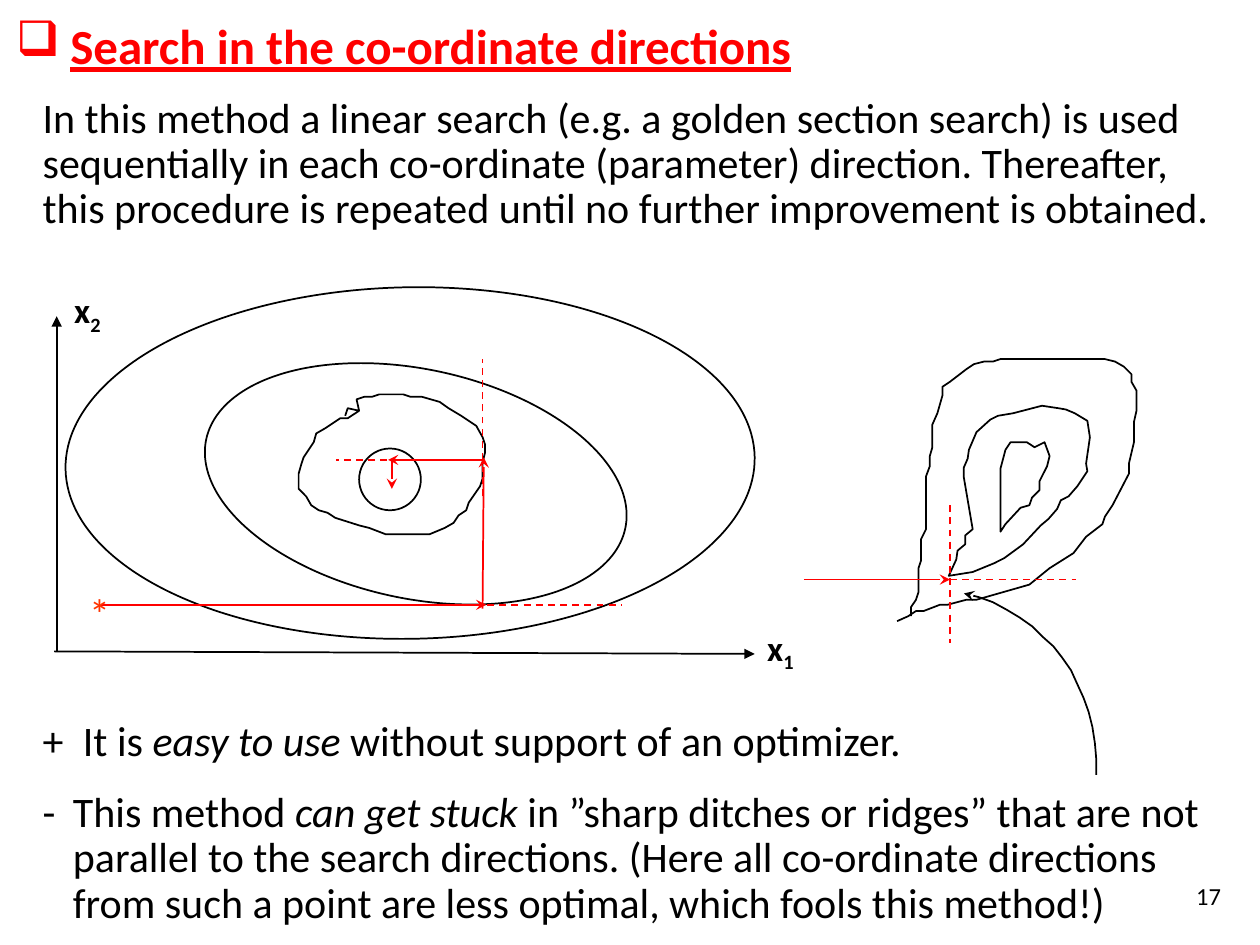
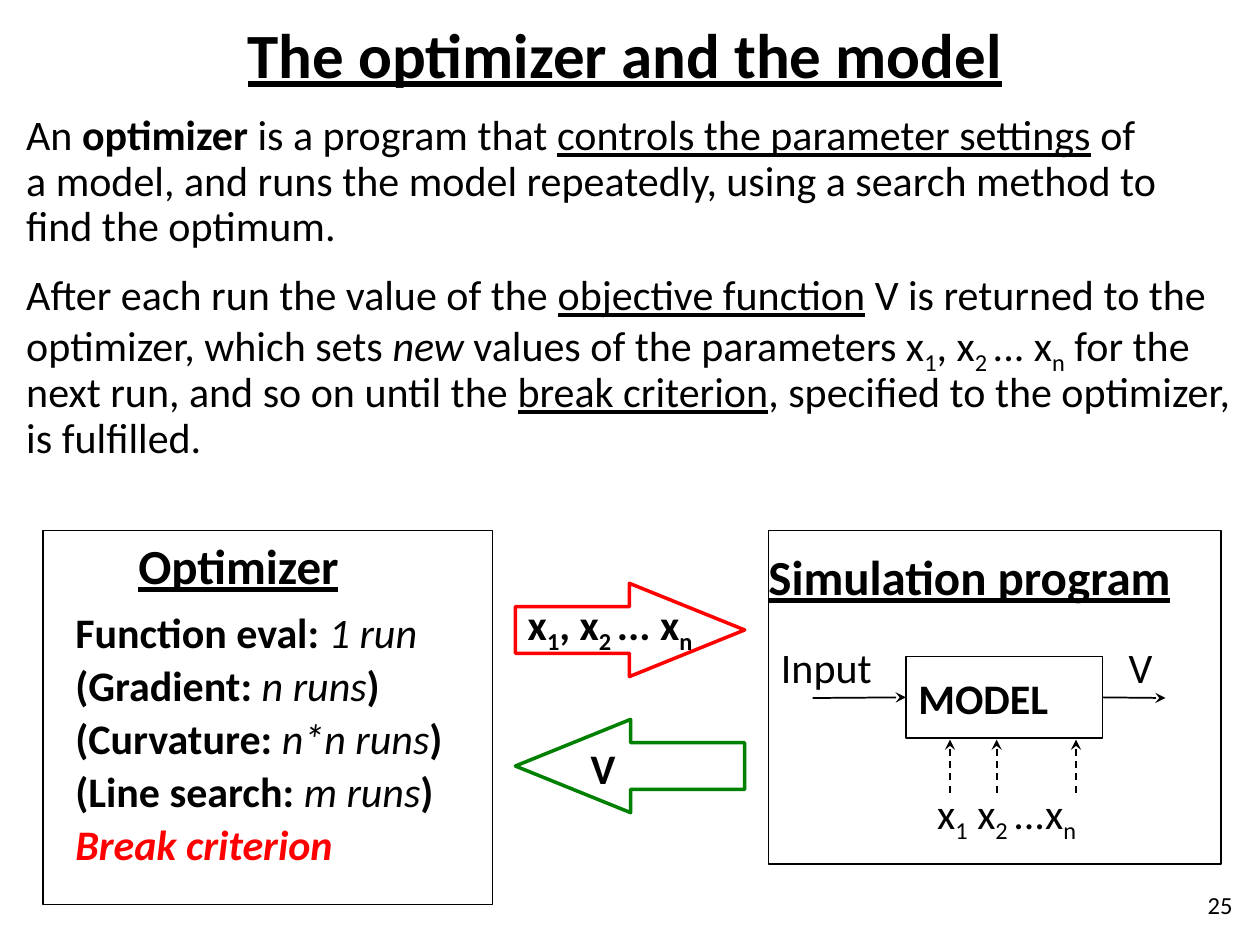
from lxml import etree
from pptx import Presentation
from pptx import util as u
from pptx.dml.color import RGBColor
from pptx.enum import dml, shapes, text
from pptx.oxml import ns

FONT = "Calibri"
BLACK, WHITE, RED, GREEN, ORANGE = "000000", "FFFFFF", "FF0000", "008000", "FF3300"
BODY_SIZE = 24
TIGHT = 0.9

# Contours in hundredths of an inch, from the corner of their diagram
BUMPY_RING = [
    (285, 126), (276, 132), (270, 132), (258, 140), (251, 144), (249, 151),
    (241, 163), (239, 169), (237, 176), (237, 188), (243, 194), (247, 201),
    (253, 205), (260, 207), (266, 211), (285, 217), (293, 219), (306, 224),
    (341, 224), (353, 219), (360, 215), (364, 209), (370, 205), (372, 199),
    (381, 186), (383, 180), (383, 167), (385, 159), (385, 153), (383, 147),
    (378, 138), (366, 130), (356, 124), (349, 119), (335, 115), (326, 115),
    (320, 113), (301, 113), (295, 115), (289, 115), (283, 117), (285, 126),
    (276, 124), (274, 130)]
DITCH_MIDDLE = [
    (227, 122), (204, 128), (192, 130), (186, 133), (175, 143), (169, 157),
    (168, 164), (165, 171), (165, 179), (172, 220), (166, 225), (166, 232),
    (160, 237), (159, 244), (153, 257), (172, 254), (189, 247), (197, 243),
    (212, 232), (226, 217), (232, 212), (239, 204), (242, 197), (248, 194),
    (255, 186), (263, 174), (262, 168), (265, 147), (263, 134), (253, 128),
    (246, 125), (240, 124), (227, 122)]
DITCH_INNER = [
    (229, 151), (221, 155), (215, 151), (202, 151), (198, 157), (194, 172),
    (194, 222), (198, 216), (210, 203), (217, 201), (219, 195), (225, 189),
    (225, 182), (231, 170), (233, 162), (229, 151), (221, 155)]
DITCH_OUTER = [
    (112, 293), (121, 289), (127, 285), (133, 285), (146, 280), (152, 280),
    (167, 276), (175, 276), (210, 266), (217, 264), (233, 251), (252, 239),
    (262, 226), (275, 216), (277, 210), (283, 201), (296, 176), (296, 168),
    (300, 151), (300, 135), (302, 126), (302, 110), (298, 103), (298, 97),
    (292, 91), (285, 87), (277, 85), (194, 85), (188, 87), (181, 87),
    (173, 89), (167, 93), (154, 103), (148, 107), (148, 114), (144, 128),
    (140, 137), (140, 155), (138, 162), (138, 170), (135, 178), (135, 220),
    (131, 228), (131, 245), (129, 251), (129, 270), (127, 276), (123, 282),
    (123, 289)]
POINTER_CURVE = [(165, 271), (229, 285), (274, 346), (270, 415)]


def rgb(value):
    return RGBColor.from_string(value)


def add_runs(paragraph, runs, size, color, base_style=""):
    """Add (text, style) pairs; style letters: b bold, i italic, u underline, s subscript."""
    for words, style in runs:
        style += base_style
        run = paragraph.add_run()
        run.text = words
        font = run.font
        font.name, font.size, font.color.rgb = FONT, u.Pt(size), rgb(color)
        font.bold, font.italic, font.underline = (letter in style for letter in "biu")
        if "s" in style:
            run._r.get_or_add_rPr().set("baseline", "-25000")


def set_hanging(paragraph, width):
    properties = paragraph._p.get_or_add_pPr()
    properties.set("marL", str(u.Inches(width)))
    properties.set("indent", str(-u.Inches(width)))
    return properties


def add_text(slide, box, paragraphs, size=BODY_SIZE, color=BLACK, style="", spacing=None,
             gap=0, align=text.PP_ALIGN.LEFT, anchor=text.MSO_ANCHOR.TOP, hanging=0):
    shape = slide.shapes.add_textbox(*map(u.Inches, box))
    frame = shape.text_frame
    frame.word_wrap = True
    frame.vertical_anchor = anchor
    for index, runs in enumerate(paragraphs):
        paragraph = frame.add_paragraph() if index else frame.paragraphs[0]
        if hanging:
            set_hanging(paragraph, hanging)
        paragraph.alignment = align
        paragraph.line_spacing = spacing
        if index and gap:
            paragraph.space_before = u.Pt(gap)
        add_runs(paragraph, runs, size, color, style)
    return shape


def add_title(slide, box, words, size, color, align, bullet=None):
    shape = add_text(slide, box, [[(words, "bu")]], size, color, align=align,
                     anchor=text.MSO_ANCHOR.MIDDLE)
    if bullet:
        properties = set_hanging(shape.text_frame.paragraphs[0], 0.43)
        etree.SubElement(properties, ns.qn("a:buChar")).set("char", bullet)


def add_page_number(slide, box, number):
    add_text(slide, box, [[(number, "")]], 14, align=text.PP_ALIGN.RIGHT,
             anchor=text.MSO_ANCHOR.MIDDLE)


def style_shape(shape, fill=None, line=BLACK, width=1):
    shape.shadow.inherit = False
    if fill:
        shape.fill.solid()
        shape.fill.fore_color.rgb = rgb(fill)
    else:
        shape.fill.background()
    shape.line.color.rgb = rgb(line)
    shape.line.width = u.Pt(width)


def add_preset(slide, kind, box, fill=None, line=BLACK, width=1, rotation=0, adjustments=()):
    shape = slide.shapes.add_shape(kind, *map(u.Inches, box))
    style_shape(shape, fill, line, width)
    shape.rotation = rotation
    for index, value in enumerate(adjustments):
        shape.adjustments[index] = value
    return shape


def add_contour(slide, left, top, points, fill=None):
    builder = slide.shapes.build_freeform(*points[0], scale=u.Inches(0.01))
    builder.add_line_segments(points[1:], close=False)
    shape = builder.convert_to_shape(u.Inches(left), u.Inches(top))
    style_shape(shape, fill)
    return shape


def set_arrow(shape, end, kind):
    etree.SubElement(shape.line._get_or_add_ln(), ns.qn(f"a:{end}")).set("type", kind)


def add_line(slide, start, end, color=BLACK, dashed=False, arrow=None):
    connector = slide.shapes.add_connector(
        shapes.MSO_CONNECTOR.STRAIGHT, *map(u.Inches, (*start, *end)))
    connector.line.color.rgb = rgb(color)
    connector.line.width = u.Pt(1)
    if dashed:
        connector.line.dash_style = dml.MSO_LINE.DASH
    if arrow:
        set_arrow(connector, "tailEnd", arrow)
    etree.SubElement(connector._element.spPr, ns.qn("a:effectLst"))
    return connector


def bezier_points(controls, steps=16):
    a, b, c, d = controls
    for step in range(steps + 1):
        t = step / steps
        weights = ((1 - t) ** 3, 3 * t * (1 - t) ** 2, 3 * t * t * (1 - t), t ** 3)
        yield tuple(sum(w * p[axis] for w, p in zip(weights, (a, b, c, d)))
                    for axis in (0, 1))


def draw_search_path(slide, left, top):
    """Elliptic contours with axes and a search that follows the coordinates."""
    def at(x, y):
        return left + x, top + y

    oval = shapes.MSO_SHAPE.OVAL
    for x, y, width, height, rotation in ((0.52, 0.28, 5.47, 2.79, 359),
                                          (1.6, 0.93, 3.4, 1.82, 12)):
        add_preset(slide, oval, (*at(x, y), width, height), WHITE, rotation=rotation)
    add_contour(slide, left, top, BUMPY_RING)
    add_line(slide, at(0.43, 3.17), at(5.99, 3.19), arrow="triangle")
    add_line(slide, at(0.45, 3.17), at(0.45, 0.51), arrow="triangle")
    for x, y, index in ((5.99, 2.92, "1"), (0.49, 0.24, "2")):
        add_text(slide, (*at(x, y), 0.62, 0.43), [[("x", "b"), (index, "bs")]], 20)
    add_preset(slide, oval, (*at(2.85, 1.56), 0.49, 0.49), WHITE)

    for start, end in (((3.11, 1.66), (3.11, 1.88)), ((3.83, 2.83), (3.84, 1.63)),
                       ((3.83, 1.65), (3.08, 1.65)), ((0.8, 2.8), (3.86, 2.8))):
        add_line(slide, at(*start), at(*end), RED, arrow="stealth")
    for start, end in (((3.83, 1.94), (3.83, 0.85)), ((3.17, 1.65), (2.67, 1.65)),
                       ((3.77, 2.8), (4.93, 2.8))):
        add_line(slide, at(*start), at(*end), RED, dashed=True)
    add_text(slide, (*at(0.61, 2.61), 0.43, 0.5), [[("*", "")]], color=ORANGE)


def draw_sharp_ditch(slide, left, top):
    """Contours with a sharp corner in which the search gets stuck."""
    add_contour(slide, left, top, DITCH_MIDDLE, WHITE)
    add_contour(slide, left, top, DITCH_INNER)
    add_contour(slide, left, top, DITCH_OUTER)
    corner = left + 1.54, top + 2.6
    add_line(slide, (left + 0.38, corner[1]), corner, RED, arrow="stealth")
    add_line(slide, (corner[0], top + 2.01), (corner[0], top + 3.1), RED, dashed=True)
    add_line(slide, corner, (left + 2.54, corner[1]), RED, dashed=True)
    pointer = add_contour(slide, left, top, list(bezier_points(POINTER_CURVE)))
    set_arrow(pointer, "headEnd", "stealth")


def draw_optimizer(slide, left, top):
    add_preset(slide, shapes.MSO_SHAPE.RECTANGLE, (left, top, 3.57, 2.97))
    add_text(slide, (left + 0.66, top - 0.01, 2.17, 0.57), [[("Optimizer", "bu")]], 28)
    costs = [[("Function eval: ", "b"), ("1 run", "i")]]
    for name, cost in (("Gradient", "n runs"), ("Curvature", "n*n runs"),
                       ("Line search", "m runs")):
        costs.append([(f"({name}: ", "b"), (cost, "i"), (")", "b")])
    listing = add_text(slide, (left + 0.16, top + 0.6, 3.33, 2.24), costs + [[]],
                       spacing=TIGHT, gap=4.3)
    add_runs(listing.text_frame.paragraphs[-1], [("Break criterion", "bi")], BODY_SIZE, RED)


def draw_simulation(slide, left, top):
    rectangle = shapes.MSO_SHAPE.RECTANGLE
    add_preset(slide, rectangle, (left, top, 3.59, 2.65))
    add_text(slide, (left - 0.1, top + 0.08, 3.79, 0.57), [[("Simulation program", "bu")]], 28)
    model = add_preset(slide, rectangle, (left + 1.09, top + 1, 1.56, 0.65), WHITE)
    middle = top + 1.33
    add_line(slide, (left + 0.35, middle), (left + 1.09, middle),
             arrow="stealth").end_connect(model, 1)
    add_line(slide, (left + 2.65, middle), (left + 3.15, middle),
             arrow="stealth").begin_connect(model, 3)
    for x, y, width, words, style in ((1.09, 1.08, 1.71, "MODEL", "b"),
                                      (2.76, 0.83, 0.57, "V", ""),
                                      (0, 0.83, 1.16, "Input", "")):
        add_text(slide, (left + x, top + y, width, 0.51), [[(words, style)]])
    for x in (1.44, 1.81, 2.44):
        add_line(slide, (left + x, top + 2.08), (left + x, top + 1.66),
                 dashed=True, arrow="stealth")
    add_text(slide, (left + 1.24, top + 1.99, 1.64, 0.51),
             [[("x", ""), ("1", "s"), (" x", ""), ("2 ", "s"), ("...x", ""), ("n", "s")]])


PARAMETERS = [("x", ""), ("1", "s"), (", x", ""), ("2 ", "s"), ("... x", ""), ("n", "s")]


def draw_exchange(slide, left, top):
    """Arrows that carry parameters to the model and the value back."""
    for kind, y, color in ((shapes.MSO_SHAPE.RIGHT_ARROW, 0, RED),
                           (shapes.MSO_SHAPE.LEFT_ARROW, 1.08, GREEN)):
        add_preset(slide, kind, (left, top + y, 1.82, 0.74), line=color, width=2,
                   adjustments=(0.5, 1.236))
    add_text(slide, (left, top + 0.07, 1.67, 0.51), [PARAMETERS], style="b")
    add_text(slide, (left + 0.5, top + 1.21, 0.5, 0.51), [[("V", "b")]])


def build_search_slide(slide):
    add_title(slide, (0.03, 0.08, 7.85, 0.56), "Search in the co-ordinate directions",
              28, RED, text.PP_ALIGN.LEFT, bullet="❑")
    add_text(slide, (0.24, 0.72, 9.56, 1.19), [[(
        "In this method a linear search (e.g. a golden section search) is used "
        "sequentially in each co-ordinate (parameter) direction. Thereafter, this "
        "procedure is repeated until no further improvement is obtained.", "")]],
        spacing=TIGHT)
    draw_search_path(slide, 0, 2)
    add_text(slide, (0.24, 5.67, 9.47, 0.46),
             [[("+\tIt is ", ""), ("easy to use", "i"),
               (" without support of an optimizer.", "")]], spacing=TIGHT, hanging=0.32)
    draw_sharp_ditch(slide, 6, 2)
    add_text(slide, (0.24, 6.23, 9.47, 1.19),
             [[("-\tThis method ", ""), ("can get stuck", "i"),
               (" in ”sharp ditches or ridges” that are not parallel to the search "
                "directions. (Here all co-ordinate directions from such a point are "
                "less optimal, which fools this method!)", "")]],
             spacing=TIGHT, hanging=0.24)
    add_page_number(slide, (9.33, 6.86, 0.46, 0.5), "17")


def build_model_slide(slide):
    add_title(slide, (0, 0.12, 9.92, 0.6), "The optimizer and the model",
              36, BLACK, text.PP_ALIGN.CENTER)
    add_text(slide, (0.11, 0.86, 9.53, 1.19), [
        [("An ", ""), ("optimizer", "b"), (" is a program that ", ""),
         ("controls the parameter settings", "u"), (" of", "")],
        [("a model, and runs the model repeatedly, using a search method to find "
          "the optimum.", "")]], spacing=TIGHT)
    add_text(slide, (0.11, 2.13, 9.81, 1.56), [
        [("After each run the value of the ", ""), ("objective function", "u"),
         (" V is returned to the optimizer, which sets ", ""), ("new", "i"),
         (" values of the parameters ", ""), *PARAMETERS,
         (" for the next run, and so on until the ", ""), ("break criterion", "u"),
         (", specified to the optimizer, is fulfilled.", "")]], spacing=TIGHT)
    draw_simulation(slide, 6.1, 4.21)
    draw_optimizer(slide, 0.34, 4.21)
    draw_exchange(slide, 4.09, 4.63)
    add_page_number(slide, (9.39, 6.93, 0.49, 0.5), "25")


def main():
    presentation = Presentation()
    presentation.slide_width, presentation.slide_height = u.Inches(10), u.Inches(7.5)
    for build in (build_search_slide, build_model_slide):
        build(presentation.slides.add_slide(presentation.slide_layouts[6]))
    presentation.save("out.pptx")


if __name__ == "__main__":
    main()
